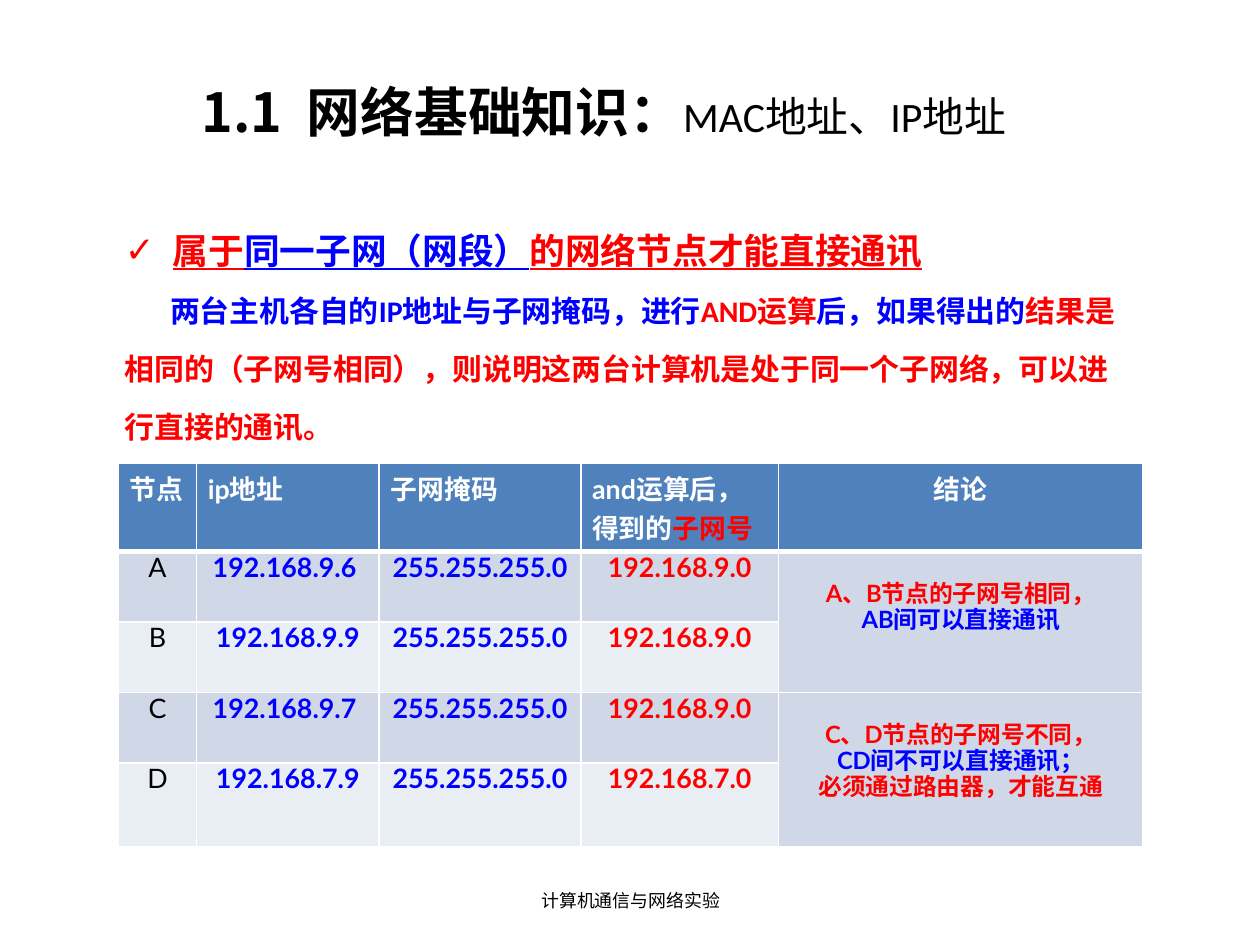
"""Build the slide on MAC and IP addresses and which subnet nodes can talk directly."""
import dataclasses
from typing import Optional

import lxml.etree
import pptx
import pptx.dml.color
import pptx.enum.text
import pptx.oxml.ns
import pptx.util

Inches = pptx.util.Inches
Pt = pptx.util.Pt
ALIGN = pptx.enum.text.PP_ALIGN
ANCHOR = pptx.enum.text.MSO_ANCHOR
COLORS = {"black": "000000", "white": "FFFFFF", "red": "FF0000", "blue": "0000FF",
          "header": "4F81BD", "odd": "D0D8E8", "even": "E9EDF4"}


@dataclasses.dataclass
class Span:
    text: str
    color: str
    size: Optional[float] = None
    face: Optional[str] = None
    bold: Optional[bool] = None


@dataclasses.dataclass
class Style:
    size: Optional[float] = None
    face: Optional[str] = None
    bold: Optional[bool] = None
    underline: Optional[bool] = None
    align: int = ALIGN.LEFT
    line: Optional[float] = None


@dataclasses.dataclass
class Node:
    name: str
    address: str
    subnet: str


def format_font(font, style) -> None:
    if style.size:
        font.size = Pt(style.size)
    if style.face:
        font.name = style.face
    if style.bold is not None:
        font.bold = style.bold


def write(paragraph, spans: list[Span], style: Style) -> None:
    paragraph.alignment = style.align
    paragraph.space_before = Pt(0)
    if style.line:
        paragraph.line_spacing = Pt(style.line)
    format_font(paragraph.font, style)
    for span in spans:
        run = paragraph.add_run()
        run.text = span.text
        format_font(run.font, style)
        format_font(run.font, span)
        run.font.underline = style.underline
        run.font.color.rgb = pptx.dml.color.RGBColor.from_string(COLORS[span.color])


def write_lines(frame, lines: list[list[Span]], style: Style) -> None:
    for index, spans in enumerate(lines):
        write(frame.add_paragraph() if index else frame.paragraphs[0], spans, style)


def place(shape, left: float, top: float, width: float, height: float) -> None:
    shape.left, shape.top = Inches(left), Inches(top)
    shape.width, shape.height = Inches(width), Inches(height)
    frame = shape.text_frame
    frame.word_wrap = True
    frame.auto_size = pptx.enum.text.MSO_AUTO_SIZE.NONE
    frame.vertical_anchor = ANCHOR.MIDDLE
    frame.margin_left = frame.margin_right = Inches(0.09)
    frame.margin_top = frame.margin_bottom = Inches(0.04)


def set_bullet(paragraph, margin: float, indent: float, mark: str = "") -> None:
    properties = paragraph._p.get_or_add_pPr()
    properties.set("marL", str(Inches(margin)))
    properties.set("indent", str(Inches(indent)))
    tag = "a:buChar" if mark else "a:buNone"
    bullet = lxml.etree.SubElement(properties, pptx.oxml.ns.qn(tag))
    if mark:
        bullet.set("char", mark)


def format_cell(cell, fill: str, top: float = 1, bottom: float = 1) -> None:
    properties = cell._tc.get_or_add_tcPr()
    for side, points in (("L", 1), ("R", 1), ("T", top), ("B", bottom)):
        edge = lxml.etree.SubElement(properties, pptx.oxml.ns.qn(f"a:ln{side}"), w=str(Pt(points)))
        paint = lxml.etree.SubElement(edge, pptx.oxml.ns.qn("a:solidFill"))
        lxml.etree.SubElement(paint, pptx.oxml.ns.qn("a:srgbClr"), val=COLORS["white"])
    cell.fill.solid()
    cell.fill.fore_color.rgb = pptx.dml.color.RGBColor.from_string(COLORS[fill])
    cell.margin_left = cell.margin_right = Inches(0.09)
    cell.margin_top = cell.margin_bottom = Inches(0.04)


def add_title(title) -> None:
    place(title, 1.51, 0.82, 7.5, 0.72)
    title.text_frame.vertical_anchor = ANCHOR.BOTTOM
    title.text_frame.margin_bottom = Inches(0.4)
    write(title.text_frame.paragraphs[0],
          [Span("1.1  网络基础知识：", "black", 30.7, "Noto Sans CJK SC", True),
           Span("MAC地址、IP地址", "black", 23.9, "Calibri", False)], Style())


def add_body(body) -> None:
    place(body, 0.9, 1.74, 8.21, 1.74)
    rule = body.text_frame.paragraphs[0]
    set_bullet(rule, 0.38, -0.38, "✓")
    write(rule, [Span("属于", "red"), Span("同一子网（网段）", "blue"),
                 Span("的网络节点才能直接通讯", "red")],
          Style(20.4, "Calibri", True, True, line=33))
    explanation = body.text_frame.add_paragraph()
    set_bullet(explanation, 0, 0.36)
    write(explanation,
          [Span("两台主机各自的IP地址与子网掩码，进行", "blue"), Span("AND运算", "red"),
           Span("后，如果得出的", "blue"),
           Span("结果是相同的（子网号相同），则说明这两台计算机是处于同一个子网络，可以进行直接的通讯。", "red")],
          Style(17.1, "Calibri", True, False, line=33))


def add_node_table(slide) -> None:
    widths = [0.62, 1.45, 1.6, 1.57, 2.89]
    heights = [0.66, 0.56, 0.56, 0.56, 0.66]
    headings = [[[Span("节点", "white")]], [[Span("ip地址", "white")]],
                [[Span("子网掩码", "white")]],
                [[Span("and运算后，", "white")], [Span("得到的", "white"), Span("子网号", "red")]],
                [[Span("结论", "white")]]]
    nodes = [Node("A", "192.168.9.6 ", "192.168.9.0"), Node("B", "192.168.9.9", "192.168.9.0"),
             Node("C", "192.168.9.7 ", "192.168.9.0"), Node("D", "192.168.7.9", "192.168.7.0")]
    conclusions = {
        1: [[Span("A、B节点的子网号相同，", "red")], [Span("AB间可以直接通讯", "blue")]],
        3: [[Span("C、D节点的子网号不同，", "red")], [Span("CD间不可以直接通讯；", "blue")],
            [Span("必须通过路由器，才能互通", "red")]]}

    table = slide.shapes.add_table(len(heights), len(widths), Inches(0.94), Inches(3.68),
                                   Inches(sum(widths)), Inches(sum(heights))).table
    for column, width in zip(table.columns, widths):
        column.width = Inches(width)
    for row, height in zip(table.rows, heights):
        row.height = Inches(height)

    for column, lines in enumerate(headings):
        cell = table.cell(0, column)
        format_cell(cell, "header", bottom=3)
        align = ALIGN.CENTER if column == len(headings) - 1 else ALIGN.LEFT
        write_lines(cell.text_frame, lines, Style(15.3, "Lato", True, align=align))

    for row, node in enumerate(nodes, 1):
        values = [Span(node.name, "black", bold=False), Span(node.address, "blue"),
                  Span("255.255.255.0", "blue"), Span(node.subnet, "red")]
        for column in range(len(widths)):
            cell = table.cell(row, column)
            format_cell(cell, "odd" if row % 2 else "even", top=3 if row == 1 else 1)
            if column < len(values):
                value = values[column]
                write(cell.text_frame.paragraphs[0], [value],
                      Style(15.3, "Lato", value.bold is None, align=ALIGN.CENTER, line=15))

    for row, lines in conclusions.items():
        cell = table.cell(row, len(widths) - 1)
        cell.merge(table.cell(row + 1, len(widths) - 1))
        cell.margin_top = Inches(0.25)
        write_lines(cell.text_frame, lines,
                    Style(13.6, "Lato", True, align=ALIGN.CENTER, line=15))


def add_footer(slide) -> None:
    footer = slide.shapes.add_textbox(0, 0, 0, 0)
    place(footer, 3.42, 6.95, 3.17, 0.4)
    write(footer.text_frame.paragraphs[0], [Span("计算机通信与网络实验", "black")],
          Style(10.2, "Arial", align=ALIGN.CENTER))


def main() -> None:
    deck = pptx.Presentation()
    deck.slide_width, deck.slide_height = Inches(10), Inches(7.5)
    slide = deck.slides.add_slide(deck.slide_layouts[1])
    add_title(slide.shapes.title)
    add_body(slide.placeholders[1])
    add_node_table(slide)
    add_footer(slide)
    deck.save("out.pptx")


if __name__ == "__main__":
    main()
